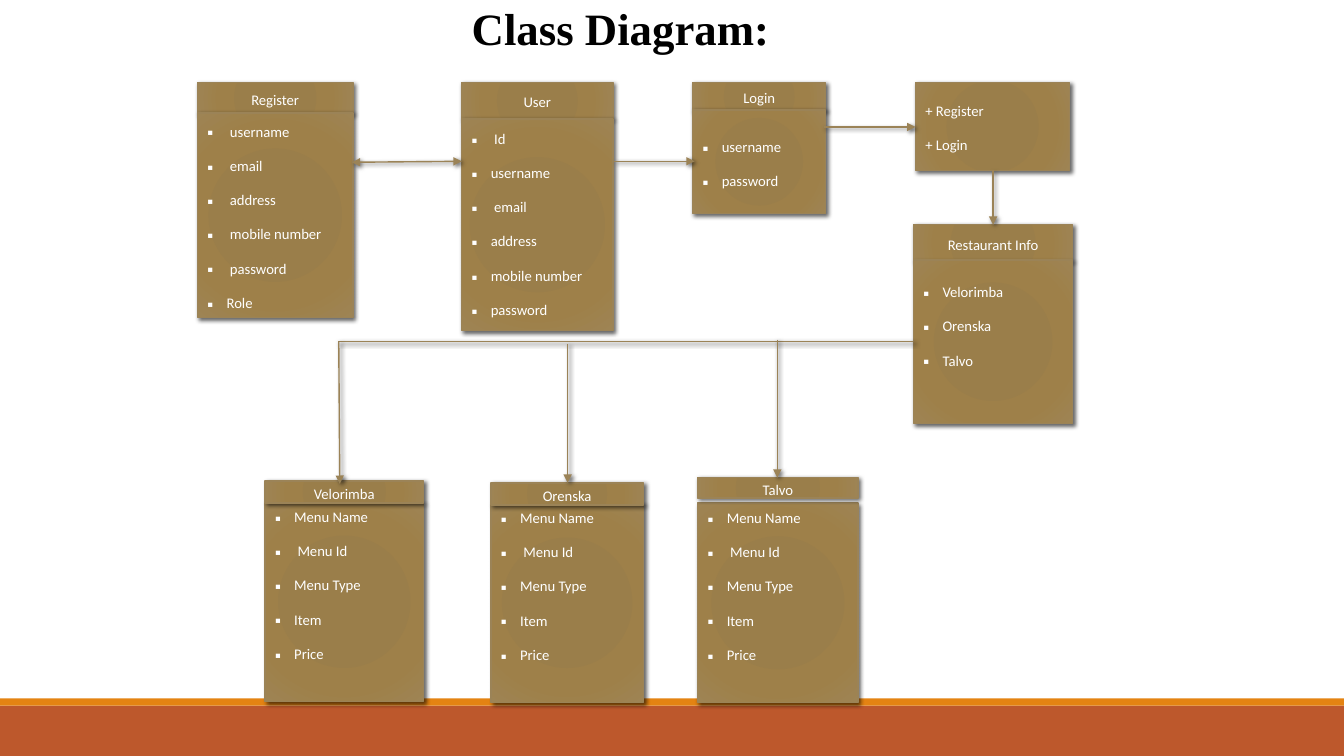
from pptx import Presentation, oxml
from pptx import util as u
from pptx.dml.color import RGBColor
from pptx.enum import shapes, text
from pptx.oxml import ns

In = u.Inches
WHITE = RGBColor(0xFF, 0xFF, 0xFF)
BLACK = RGBColor(0, 0, 0)
RUST = RGBColor(0xBD, 0x58, 0x2C)
ORANGE = RGBColor(0xE4, 0x83, 0x12)
LINE = RGBColor(0x9B, 0x83, 0x57)
STOPS = ((0, RGBColor(0x9A, 0x7D, 0x48)), (34, RGBColor(0x9A, 0x7E, 0x4A)),
         (70, RGBColor(0x9E, 0x80, 0x49)), (100, RGBColor(0x9E, 0x84, 0x54)))
A = ns.nsdecls("a")
RESTAURANTS = ("Velorimba", "Orenska", "Talvo")
MENU = ("Menu Name", " Menu Id", "Menu Type", "Item", "Price")


def add_shadow(spPr):
    spPr.append(oxml.parse_xml(
        f'<a:effectLst {A}><a:outerShdw blurRad="{u.Pt(3)}" dist="{u.Pt(2)}" dir="2700000" '
        f'algn="tl" rotWithShape="0"><a:srgbClr val="{BLACK}"><a:alpha val="60000"/>'
        '</a:srgbClr></a:outerShdw></a:effectLst>'))


def set_gradient(sp):
    sp.fill.solid()
    spPr = sp._element.spPr
    stops = "".join(f'<a:gs pos="{pos * 1000}"><a:srgbClr val="{color}"/></a:gs>'
                    for pos, color in STOPS)
    spPr.replace(spPr.find(ns.qn("a:solidFill")), oxml.parse_xml(
        f'<a:gradFill {A} rotWithShape="1"><a:gsLst>{stops}</a:gsLst><a:path path="circle">'
        '<a:fillToRect l="100000" t="100000" r="100000" b="100000"/></a:path></a:gradFill>'))


def set_line(line):
    line.color.rgb = LINE
    line.width = u.Pt(1)


def add_bullet(p):
    pPr = p._p.get_or_add_pPr()
    pPr.set("marL", str(In(0.19)))
    pPr.set("indent", str(-In(0.19)))
    pPr.append(oxml.parse_xml(f'<a:buFont {A} typeface="Noto Sans Symbols"/>'))
    pPr.append(oxml.parse_xml(f'<a:buChar {A} char="▪"/>'))


def add_text(p, words, size=10.5, font="Calibri", color=WHITE, bold=False,
             align=text.PP_ALIGN.LEFT, bullet=False, spacing=1.15, after=10):
    p.alignment = align
    p.line_spacing = spacing
    p.space_after = u.Pt(after)
    if bullet:
        add_bullet(p)
    r = p.add_run()
    r.text = words
    r.font.size, r.font.name, r.font.bold = u.Pt(size), font, bold
    r.font.color.rgb = color


def add_box(slide, x, y, w, h, lines, first=None, **fmt):
    sp = slide.shapes.add_shape(shapes.MSO_SHAPE.RECTANGLE, In(x), In(y), In(w), In(h))
    set_gradient(sp)
    set_line(sp.line)
    add_shadow(sp._element.spPr)
    tf = sp.text_frame
    tf.word_wrap = True
    tf.vertical_anchor = text.MSO_ANCHOR.MIDDLE
    if first is not None:
        tf.vertical_anchor = text.MSO_ANCHOR.TOP
        tf.margin_top = In(first)
    for i, words in enumerate(lines):
        add_text(tf.add_paragraph() if i else tf.paragraphs[0], words, **fmt)


def add_class(slide, name, x, w, head, body, fields, first, head_on_top=False):
    def add_head():
        add_box(slide, x, head[0], w, head[1], [name], align=text.PP_ALIGN.CENTER)

    if not head_on_top:
        add_head()
    add_box(slide, x, body[0], w, body[1], fields, first, bullet=True)
    if head_on_top:
        add_head()


def add_line(slide, x1, y1, x2, y2, head=False, tail=True):
    cn = slide.shapes.add_connector(shapes.MSO_CONNECTOR.STRAIGHT,
                                    In(x1), In(y1), In(x2), In(y2))
    set_line(cn.line)
    spPr = cn._element.spPr
    ln = spPr.find(ns.qn("a:ln"))
    for end, shown in (("headEnd", head), ("tailEnd", tail)):
        if shown:
            ln.append(oxml.parse_xml(f'<a:{end} {A} type="triangle"/>'))
    add_shadow(spPr)


def add_bar(slide, y, h, color):
    sp = slide.shapes.add_shape(shapes.MSO_SHAPE.RECTANGLE, 0, In(y), In(13.33), In(h))
    sp.shadow.inherit = False
    sp.fill.solid()
    sp.fill.fore_color.rgb = color
    sp.line.fill.background()


def add_title(slide, words):
    tf = slide.shapes.add_textbox(In(4.58), In(-0.04), In(3.27), In(0.64)).text_frame
    tf.word_wrap = True
    add_text(tf.paragraphs[0], words, size=32, font="Times New Roman", color=BLACK,
             bold=True, spacing=1.0, after=0)


def main():
    prs = Presentation()
    prs.slide_width, prs.slide_height = In(13.33), In(7.5)
    slide = prs.slides.add_slide(prs.slide_layouts[6])
    add_bar(slide, 7, 0.5, RUST)
    add_bar(slide, 6.93, 0.07, ORANGE)

    add_class(slide, "Register", 1.96, 1.54, (0.82, 0.31), (1.12, 2.03),
              (" username", " email", " address", " mobile number", " password", "Role"), 0.07)
    add_class(slide, "User", 4.58, 1.5, (0.82, 0.36), (1.18, 2.1),
              (" Id", "username", " email", "address", "mobile number", "password"), 0.08)
    add_class(slide, "Login", 6.87, 1.32, (0.82, 0.28), (1.09, 1.03),
              ("username", "password"), 0.25)
    add_box(slide, 9.08, 0.82, 1.53, 0.87, ("+ Register", "+ Login"))
    add_class(slide, "Restaurant Info", 9.06, 1.58, (2.23, 0.36), (2.58, 1.62),
              RESTAURANTS, 0.2)
    menus = ((2.63, 1.57, (4.77, 0.22), 4.98), (4.87, 1.51, (4.79, 0.22), 4.99),
             (6.92, 1.59, (4.74, 0.2), 4.99))
    for name, (x, w, head, top) in zip(RESTAURANTS, menus):
        add_class(slide, name, x, w, head, (top, 1.98), MENU, 0.03, head_on_top=True)

    add_line(slide, 9.06, 3.39, 3.35, 3.39, tail=False)
    for ends in ((3.36, 3.39, 3.37, 4.8), (5.63, 3.41, 5.63, 4.79), (7.71, 3.37, 7.71, 4.74),
                 (9.85, 1.69, 9.85, 2.23), (8.17, 1.26, 9.08, 1.26), (6.09, 1.6, 6.89, 1.6)):
        add_line(slide, *ends)
    add_line(slide, 3.49, 1.61, 4.58, 1.6, head=True)
    add_title(slide, "Class Diagram:")
    prs.save("out.pptx")


if __name__ == "__main__":
    main()
